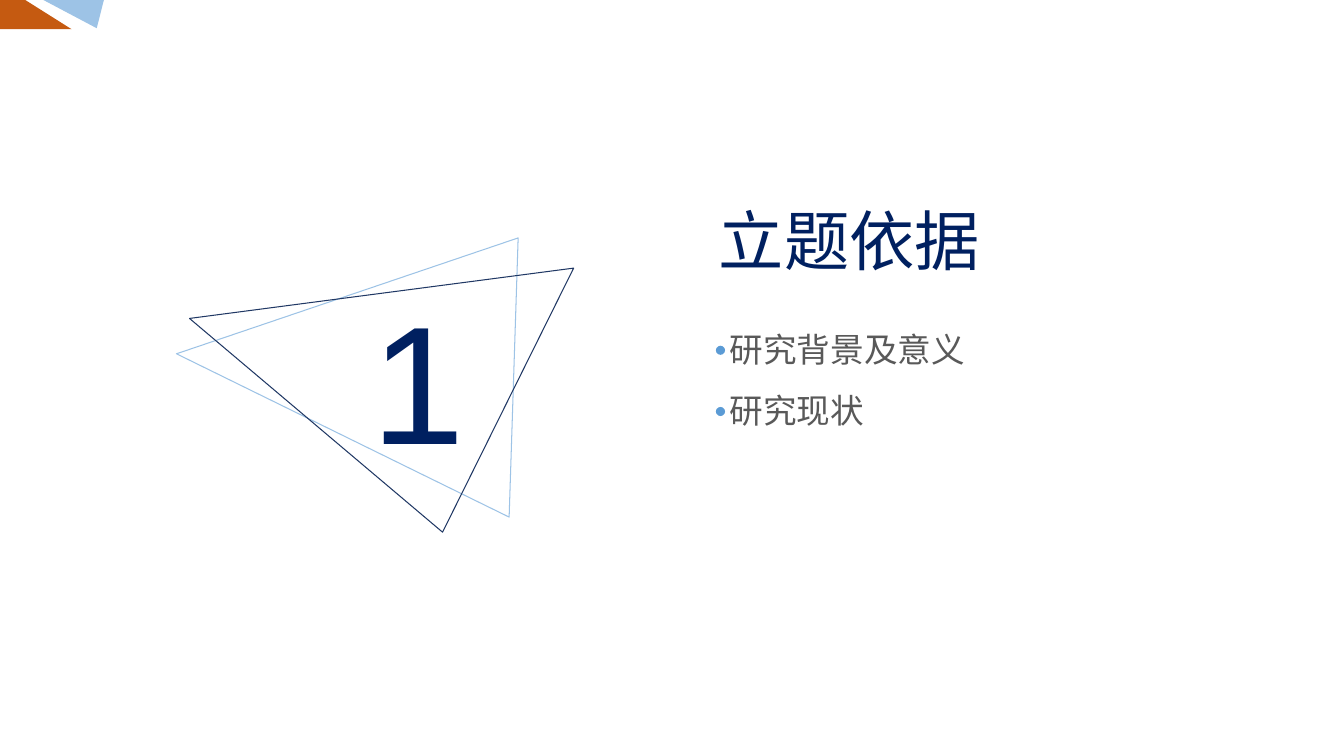
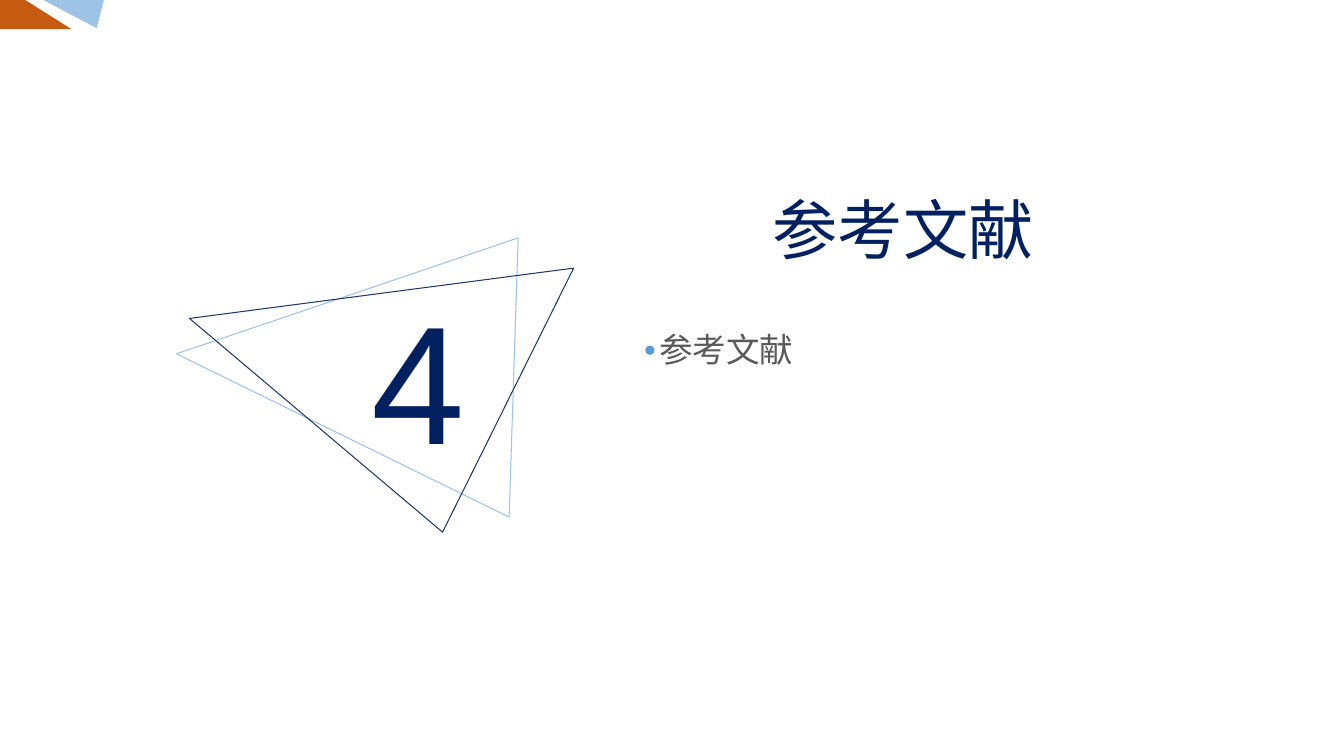
from dataclasses import dataclass

from pptx import Presentation
from pptx import util as u
from pptx.dml.color import RGBColor
from pptx.enum import shapes, text

WIDTH, HEIGHT = u.Inches(13.33), u.Inches(7.5)
COLUMNS, ROWS = 100, 100

NAVY, DARK_BLUE, LIGHT_BLUE = "002060", "203864", "9DC3E6"
ORANGE, DOT_BLUE, GREY = "C55A11", "5B9BD5", "595959"
FONT = "Arial"


@dataclass(frozen=True)
class Box:
    left: float
    top: float
    width: float
    height: float


@dataclass(frozen=True)
class Polygon:
    points: tuple[tuple[float, float], ...]
    color: str
    filled: bool


@dataclass(frozen=True)
class TextStyle:
    size: float
    color: str
    alignment: text.PP_ALIGN = text.PP_ALIGN.LEFT


@dataclass(frozen=True)
class Section:
    number: str
    title: str
    title_left: float
    title_top: float
    topics: tuple[str, ...]
    topics_left: float


TITLE = TextStyle(46.6, NAVY, text.PP_ALIGN.CENTER)
NUMBER = TextStyle(120, NAVY)
TOPIC = TextStyle(24, GREY)

NUMBER_BOX = Box(26.93, 35.87, 7.9, 28.27)
TITLE_WIDTH, TITLE_HEIGHT = 21, 11.8
TOPICS_TOP, TOPIC_PITCH, TOPIC_HEIGHT = 42.8, 8.1, 6.67
TOPIC_PADDING, CHARACTER_WIDTH = 1.5, 2.5
DOT = Box(-0.28, 2.93, 0.68, 1.2)

TRIANGLES = (
    Polygon(((38.55, 31.47), (13.13, 46.8), (37.88, 68.4)), LIGHT_BLUE, False),
    Polygon(((14.1, 42.13), (42.68, 35.47), (32.93, 70.4)), DARK_BLUE, False),
)
CORNER = (
    Polygon(((3.23, 0), (7.2, 3.73), (7.73, 0)), LIGHT_BLUE, True),
    Polygon(((5.33, 3.87), (1.88, 0), (0, 0), (0, 3.87)), ORANGE, True),
)

SECTIONS = (
    Section("1", "立题依据", 52.7, 25.87, ("研究背景及意义", "研究现状"), 53.55),
    Section("4", "参考文献", 56.7, 24.4, ("参考文献",), 48.3),
)


def color(value: str) -> RGBColor:
    return RGBColor.from_string(value)


def across(columns: float) -> int:
    return round(WIDTH * columns / COLUMNS)


def down(rows: float) -> int:
    return round(HEIGHT * rows / ROWS)


def place(box: Box) -> tuple[int, int, int, int]:
    return across(box.left), down(box.top), across(box.width), down(box.height)


def paint(shape, value: str, filled: bool) -> None:
    shape.shadow.inherit = False
    if filled:
        shape.fill.solid()
        shape.fill.fore_color.rgb = color(value)
        shape.line.fill.background()
    else:
        shape.fill.background()
        shape.line.color.rgb = color(value)
        shape.line.width = u.Pt(0.75)


def draw_polygon(slide, polygon: Polygon) -> None:
    start, *others = [(across(x), down(y)) for x, y in polygon.points]
    builder = slide.shapes.build_freeform(*start)
    builder.add_line_segments(others, close=True)
    paint(builder.convert_to_shape(), polygon.color, polygon.filled)


def draw_text(slide, box: Box, words: str, style: TextStyle) -> None:
    frame = slide.shapes.add_textbox(*place(box)).text_frame
    frame.word_wrap = False
    frame.auto_size = text.MSO_AUTO_SIZE.SHAPE_TO_FIT_TEXT
    paragraph = frame.paragraphs[0]
    paragraph.alignment = style.alignment
    run = paragraph.add_run()
    run.text = words
    run.font.name = FONT
    run.font.size = u.Pt(style.size)
    run.font.color.rgb = color(style.color)


def draw_topic(slide, words: str, left: float, top: float) -> None:
    width = TOPIC_PADDING + CHARACTER_WIDTH * len(words)
    draw_text(slide, Box(left, top, width, TOPIC_HEIGHT), words, TOPIC)
    dot_box = Box(left + DOT.left, top + DOT.top, DOT.width, DOT.height)
    dot = slide.shapes.add_shape(shapes.MSO_SHAPE.OVAL, *place(dot_box))
    paint(dot, DOT_BLUE, True)


def draw_section(slide, section: Section) -> None:
    title_box = Box(section.title_left, section.title_top, TITLE_WIDTH, TITLE_HEIGHT)
    draw_text(slide, title_box, section.title, TITLE)
    for triangle in TRIANGLES:
        draw_polygon(slide, triangle)
    draw_text(slide, NUMBER_BOX, section.number, NUMBER)
    for polygon in CORNER:
        draw_polygon(slide, polygon)
    for index, topic in enumerate(section.topics):
        draw_topic(slide, topic, section.topics_left, TOPICS_TOP + index * TOPIC_PITCH)


def main() -> None:
    presentation = Presentation()
    presentation.slide_width, presentation.slide_height = WIDTH, HEIGHT
    blank = presentation.slide_layouts[6]
    for section in SECTIONS:
        draw_section(presentation.slides.add_slide(blank), section)
    presentation.save("out.pptx")


main()
